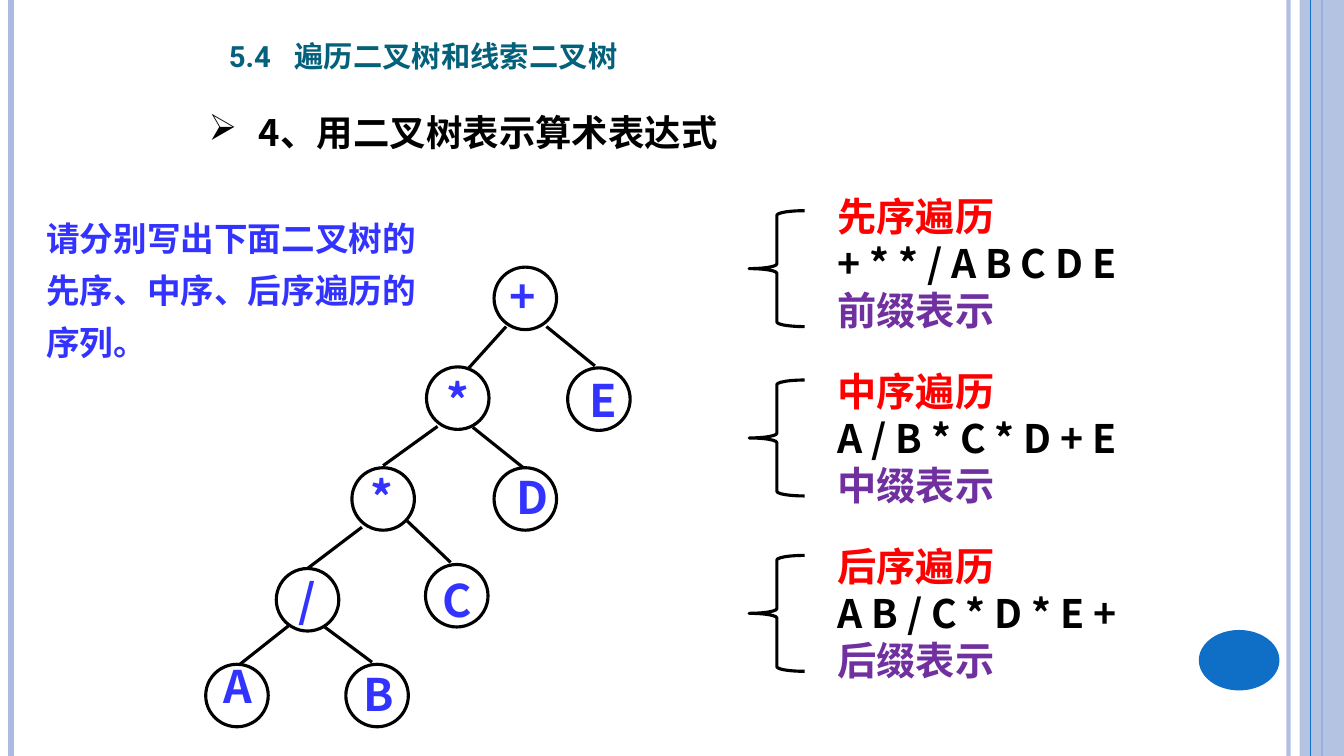
from dataclasses import dataclass

from lxml.etree import SubElement
from pptx import Presentation
from pptx.dml.color import RGBColor
from pptx.enum.shapes import MSO_CONNECTOR, MSO_SHAPE
from pptx.enum.text import MSO_ANCHOR, MSO_AUTO_SIZE, PP_ALIGN
from pptx.oxml.ns import qn
from pptx.util import Inches, Pt


@dataclass(frozen=True)
class Theme:
    """Colours, fonts and type sizes of the slide."""
    ink: str = "000000"
    node: str = "3333FF"
    order: str = "FF0000"
    notation: str = "7030A0"
    title: str = "04617B"
    rail: str = "ABBBDF"
    accent: str = "0F6FC6"
    cjk_font: str = "Noto Sans CJK SC"
    task_font: str = "Arial"
    title_font: str = "Roboto"
    node_size: float = 32
    traversal_size: float = 28
    heading_size: float = 26
    title_size: float = 26.2
    task_size: float = 24
    stroke: float = 2.25


THEME = Theme()
NODE_DIAMETER = 0.62

# Each node: symbol, circle left and top, label left and top.
NODES = [
    ("+", 4.9, 2.65, 4.96, 2.62),
    ("*", 4.23, 3.64, 4.33, 3.65),
    ("E", 5.63, 3.65, 5.75, 3.65),
    ("*", 3.49, 4.64, 3.58, 4.61),
    ("D", 4.9, 4.64, 5.02, 4.61),
    ("/", 2.74, 5.64, 2.86, 5.63),
    ("C", 4.22, 5.6, 4.29, 5.63),
    ("A", 2.04, 6.59, 2.12, 6.49),
    ("B", 3.43, 6.59, 3.51, 6.57),
]
BRANCHES = [
    (5.02, 3.24, 4.65, 3.65), (5.42, 3.24, 5.9, 3.63),
    (4.34, 4.23, 3.8, 4.62), (4.69, 4.24, 5.19, 4.64),
    (3.59, 5.23, 3.05, 5.64), (4.04, 5.17, 4.47, 5.58),
    (2.86, 6.21, 2.38, 6.59), (3.22, 6.22, 3.69, 6.57),
]
RAILS = [(12.78, THEME.rail, 3), (0.11, THEME.rail, 4.5), (13.11, THEME.accent, 1.5)]
TRAVERSALS = [
    ("先序遍历", "+ * * / A B C D E", "前缀表示"),
    ("中序遍历", "A / B * C * D + E", "中缀表示"),
    ("后序遍历", "A B / C * D * E +", "后缀表示"),
]
BRACE_TOPS = [2.09, 3.77, 5.51]


def set_alpha(fill, percent):
    """Make a solid fill partly transparent."""
    color = fill._xPr.find(qn("a:solidFill"))[0]
    SubElement(color, qn("a:alpha")).set("val", str(percent * 1000))


def add_line(slide, ends, color=THEME.ink, width=THEME.stroke):
    """Draw a straight line without a shadow."""
    line = slide.shapes.add_connector(MSO_CONNECTOR.STRAIGHT, *map(Inches, ends))
    line.line.color.rgb = RGBColor.from_string(color)
    line.line.width = Pt(width)
    SubElement(line._element.spPr, qn("a:effectLst"))
    return line


def add_figure(slide, preset, box, fill=None, outline=None):
    """Add a preset shape with an optional fill and outline."""
    figure = slide.shapes.add_shape(preset, *map(Inches, box))
    figure.shadow.inherit = False
    if fill:
        figure.fill.solid()
        figure.fill.fore_color.rgb = RGBColor.from_string(fill)
    else:
        figure.fill.background()
    if outline:
        figure.line.color.rgb = RGBColor.from_string(outline)
        figure.line.width = Pt(THEME.stroke)
    else:
        figure.line.fill.background()
    return figure


def style(paragraph, font, size, color):
    """Set the bold type of a paragraph."""
    paragraph.font.name = font
    paragraph.font.size = Pt(size)
    paragraph.font.bold = True
    paragraph.font.color.rgb = RGBColor.from_string(color)


def add_text(slide, box, lines, font, size, wrap=True):
    """Add a text box of (text, colour) lines and return its paragraphs."""
    frame = slide.shapes.add_textbox(*map(Inches, box)).text_frame
    frame.word_wrap = wrap
    for index, (text, color) in enumerate(lines):
        paragraph = frame.add_paragraph() if index else frame.paragraphs[0]
        paragraph.text = text
        style(paragraph, font, size, color)
    return frame.paragraphs


def hang(paragraph, inches):
    """Give a paragraph a hanging indent."""
    properties = paragraph._p.get_or_add_pPr()
    properties.set("marL", str(Inches(inches)))
    properties.set("indent", str(-Inches(inches)))
    return properties


def add_frame(slide):
    """Draw the rails along both edges and the round marker."""
    for x, color, width in RAILS:
        rail = add_line(slide, (x, 0, x, 7.5), color, width)
        if width == 3:
            set_alpha(rail.line.fill, 93)
    band = add_figure(slide, MSO_SHAPE.RECTANGLE, (12.89, 0, 0.44, 7.5), THEME.rail)
    set_alpha(band.fill, 87)
    add_line(slide, (13, 0, 13, 7.5), THEME.accent, 0.75)
    add_figure(slide, MSO_SHAPE.OVAL, (11.89, 6.25, 0.8, 0.6), THEME.accent)


def add_title(slide):
    """Place the section title in its placeholder."""
    title = slide.shapes.title
    title.left, title.top, title.width, title.height = map(Inches, (2.17, 0.18, 6.2, 0.61))
    frame = title.text_frame
    frame.text = "5.4\t遍历二叉树和线索二叉树"
    frame.auto_size = MSO_AUTO_SIZE.NONE
    frame.vertical_anchor = MSO_ANCHOR.BOTTOM
    paragraph = frame.paragraphs[0]
    paragraph.alignment = PP_ALIGN.LEFT
    style(paragraph, THEME.title_font, THEME.title_size, THEME.title)
    hang(paragraph, 0.65)
    paragraph.font._element.set("cap", "small")


def add_heading(slide):
    """Add the bulleted topic line."""
    heading, = add_text(slide, (1.97, 0.96, 5.35, 0.62),
                        [("4、用二叉树表示算术表达式", THEME.ink)],
                        THEME.cjk_font, THEME.heading_size)
    heading.line_spacing = 1.2
    heading.space_before = Pt(9)
    bullet = hang(heading, 0.5).makeelement(qn("a:buChar"), {"char": "➢"})
    heading.font._element.addprevious(bullet)


def add_tree(slide):
    """Draw the expression tree."""
    for branch in BRANCHES:
        add_line(slide, branch)
    for symbol, left, top, label_left, label_top in NODES:
        add_figure(slide, MSO_SHAPE.OVAL, (left, top, NODE_DIAMETER, NODE_DIAMETER),
                   outline=THEME.ink)
        add_text(slide, (label_left, label_top, 0.43, 0.64), [(symbol, THEME.node)],
                 THEME.cjk_font, THEME.node_size, wrap=False)


def add_traversals(slide):
    """List the three traversals beside their braces."""
    colors = (THEME.order, THEME.ink, THEME.notation)
    lines = [line for group in TRAVERSALS for line in zip(group, colors)]
    paragraphs = add_text(slide, (8.21, 1.86, 3.54, 5.01), lines,
                          THEME.cjk_font, THEME.traversal_size, wrap=False)
    for first in paragraphs[3::3]:
        first.space_before = Pt(24)
    for top in BRACE_TOPS:
        add_figure(slide, MSO_SHAPE.LEFT_BRACE, (7.43, top, 0.55, 1.15), outline=THEME.ink)


def main():
    """Build and save the slide."""
    deck = Presentation()
    deck.slide_width, deck.slide_height = Inches(13.33), Inches(7.5)
    slide = deck.slides.add_slide(deck.slide_layouts[5])
    add_frame(slide)
    add_title(slide)
    add_heading(slide)
    add_tree(slide)
    add_traversals(slide)
    task, = add_text(slide, (0.36, 1.99, 4.19, 1.67),
                     [("请分别写出下面二叉树的先序、中序、后序遍历的序列。", THEME.node)],
                     THEME.task_font, THEME.task_size)
    task.line_spacing = 1.3
    deck.save("out.pptx")


if __name__ == "__main__":
    main()
